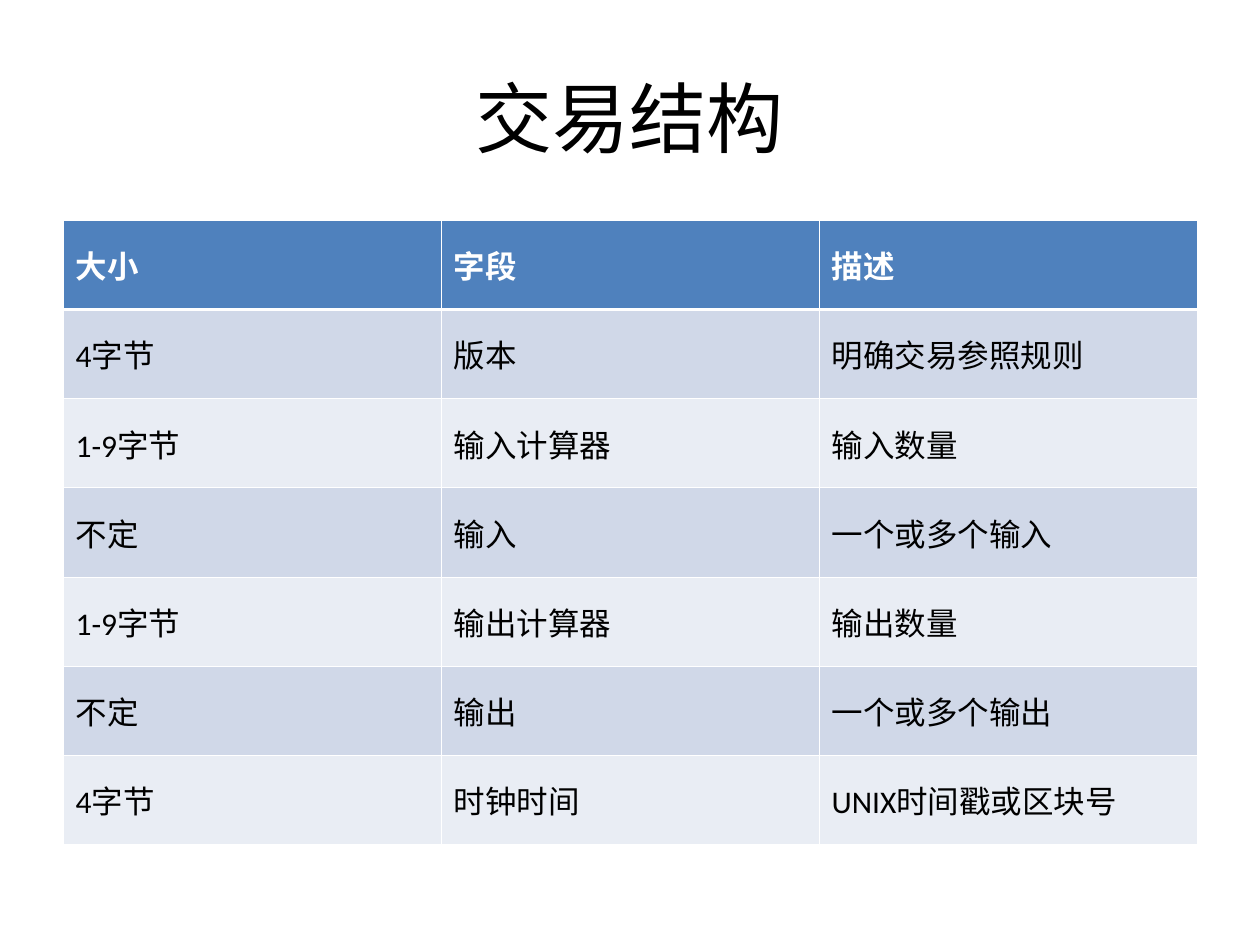
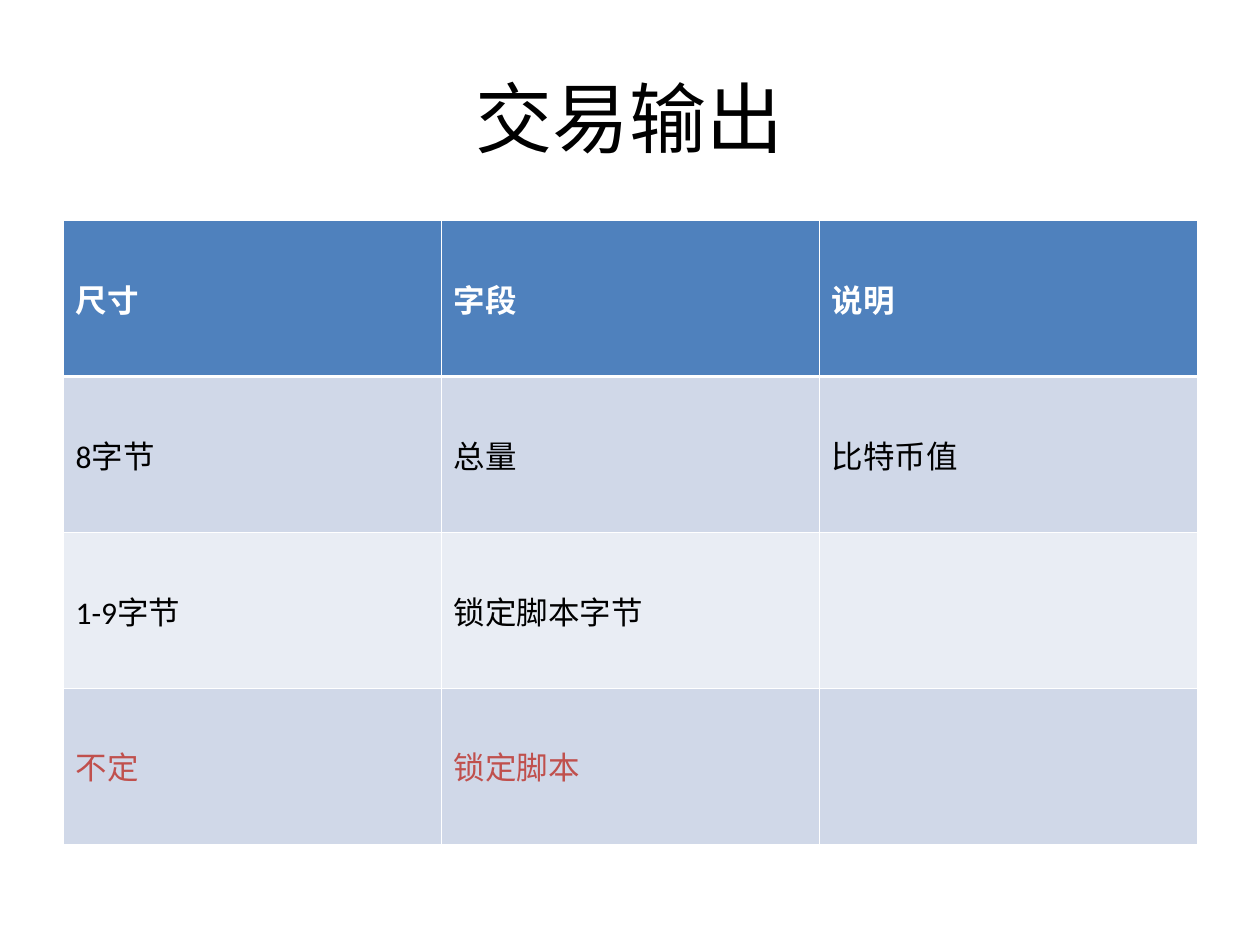
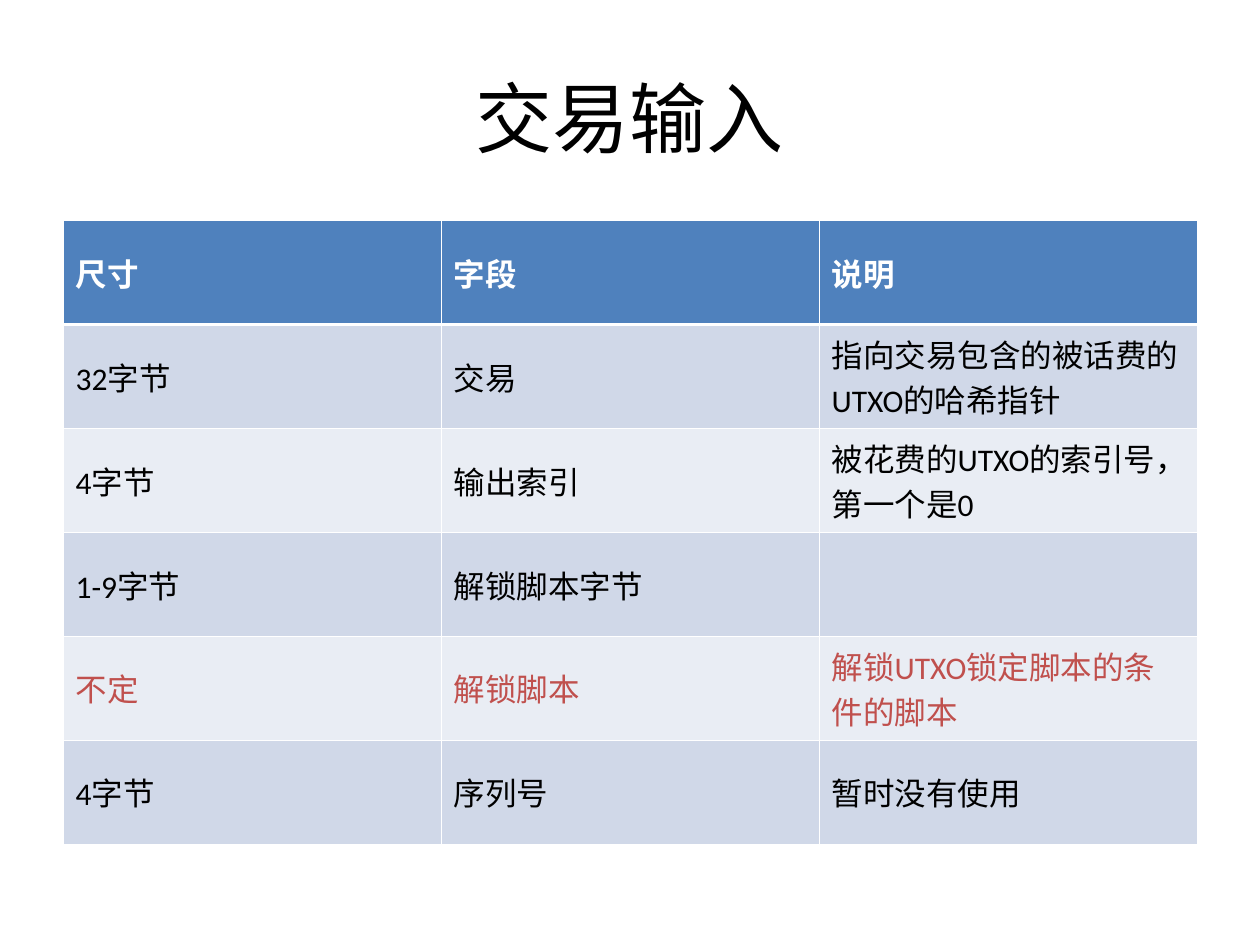
from lxml.etree import SubElement
from pptx import Presentation
from pptx.dml.color import RGBColor
from pptx.enum.text import MSO_ANCHOR, PP_ALIGN
from pptx.oxml.ns import qn
from pptx.util import Pt

COLORS = {
    "header": "4F81BD",
    "odd_row": "D0D8E8",
    "even_row": "E9EDF4",
    "white": "FFFFFF",
    "black": "000000",
    "highlight": "C0504D",
}
TITLE_BOX = (36, 21.6, 648, 90)
TABLE_BOX = (36, 126, 648, 356.4)
THIN_BORDER, THICK_BORDER = 0.45, 1.47
INSETS = {
    "margin_left": Pt(7.2),
    "margin_top": Pt(3.6),
    "margin_right": Pt(7.2),
    "margin_bottom": Pt(3.6),
    "vertical_anchor": MSO_ANCHOR.MIDDLE,
}

# title, highlighted row (0 is the header, None for no row), rows
SLIDES = [
    ("交易结构", None, [
        ("大小", "字段", "描述"),
        ("4字节", "版本", "明确交易参照规则"),
        ("1-9字节", "输入计算器", "输入数量"),
        ("不定", "输入", "一个或多个输入"),
        ("1-9字节", "输出计算器", "输出数量"),
        ("不定", "输出", "一个或多个输出"),
        ("4字节", "时钟时间", "UNIX时间戳或区块号"),
    ]),
    ("交易输出", 3, [
        ("尺寸", "字段", "说明"),
        ("8字节", "总量", "比特币值"),
        ("1-9字节", "锁定脚本字节", ""),
        ("不定", "锁定脚本", ""),
    ]),
    ("交易输入", 4, [
        ("尺寸", "字段", "说明"),
        ("32字节", "交易", "指向交易包含的被话费的UTXO的哈希指针"),
        ("4字节", "输出索引", "被花费的UTXO的索引号，第一个是0"),
        ("1-9字节", "解锁脚本字节", ""),
        ("不定", "解锁脚本", "解锁UTXO锁定脚本的条件的脚本"),
        ("4字节", "序列号", "暂时没有使用"),
    ]),
]


def set_attributes(target, values):
    for name, value in values.items():
        setattr(target, name, value)


def format_font(font, color, **values):
    set_attributes(font, values)
    font.color.rgb = RGBColor.from_string(COLORS[color])


def add_title(slide, text, box):
    title = slide.shapes.title
    set_attributes(title, dict(zip(("left", "top", "width", "height"), map(Pt, box))))
    set_attributes(title.text_frame, INSETS)
    title.text_frame.text = text
    paragraph = title.text_frame.paragraphs[0]
    paragraph.alignment = PP_ALIGN.CENTER
    format_font(paragraph.runs[0].font, "black", name="Arial", size=Pt(44))


def add_borders(cell, row_index):
    """Draw thin white borders, with a thick one between header and body."""
    widths = {
        "a:lnL": THIN_BORDER,
        "a:lnR": THIN_BORDER,
        "a:lnT": THICK_BORDER if row_index == 1 else THIN_BORDER,
        "a:lnB": THICK_BORDER if row_index == 0 else THIN_BORDER,
    }
    properties = cell._tc.get_or_add_tcPr()
    for tag, width in widths.items():
        line = SubElement(properties, qn(tag), w=str(Pt(width)))
        fill = SubElement(line, qn("a:solidFill"))
        SubElement(fill, qn("a:srgbClr"), val=COLORS["white"])


def fill_cell(cell, text, row_index, highlighted):
    is_header = row_index == 0
    if is_header:
        background, color = "header", "white"
    else:
        background = "odd_row" if row_index % 2 else "even_row"
        color = "highlight" if highlighted else "black"
    add_borders(cell, row_index)
    cell.fill.solid()
    cell.fill.fore_color.rgb = RGBColor.from_string(COLORS[background])
    set_attributes(cell, INSETS)
    if text:
        cell.text = text
        run = cell.text_frame.paragraphs[0].runs[0]
        format_font(run.font, color, name="Calibri", size=Pt(18), bold=is_header)


def add_field_table(slide, rows, highlighted_row, box):
    table = slide.shapes.add_table(len(rows), len(rows[0]), *map(Pt, box)).table
    for column in table.columns:
        column.width = Pt(box[2] / len(rows[0]))
    for row_index, texts in enumerate(rows):
        table.rows[row_index].height = Pt(box[3] / len(rows))
        for cell, text in zip(table.rows[row_index].cells, texts):
            fill_cell(cell, text, row_index, row_index == highlighted_row)


def main():
    presentation = Presentation()
    presentation.slide_width, presentation.slide_height = Pt(720), Pt(540)
    title_only = presentation.slide_layouts.get_by_name("Title Only")
    for title, highlighted_row, rows in SLIDES:
        slide = presentation.slides.add_slide(title_only)
        add_title(slide, title, TITLE_BOX)
        add_field_table(slide, rows, highlighted_row, TABLE_BOX)
    presentation.save("out.pptx")


if __name__ == "__main__":
    main()
